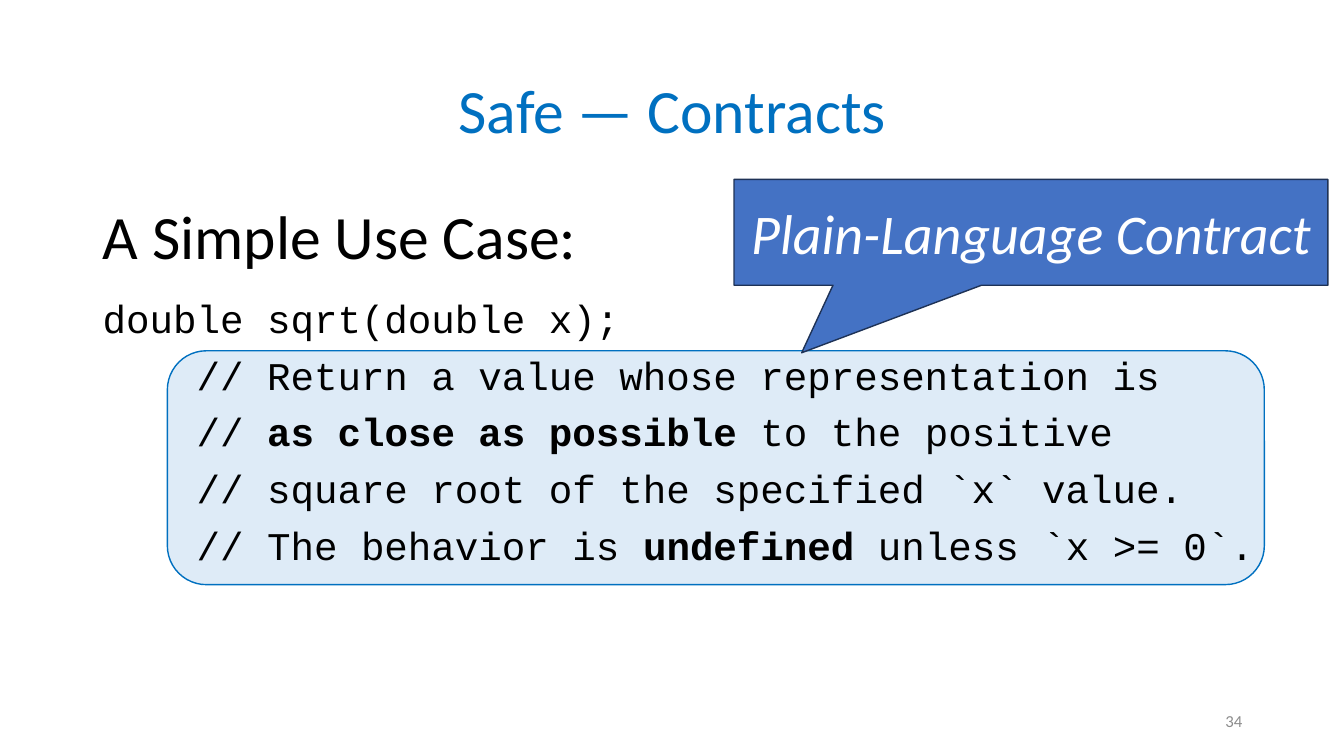
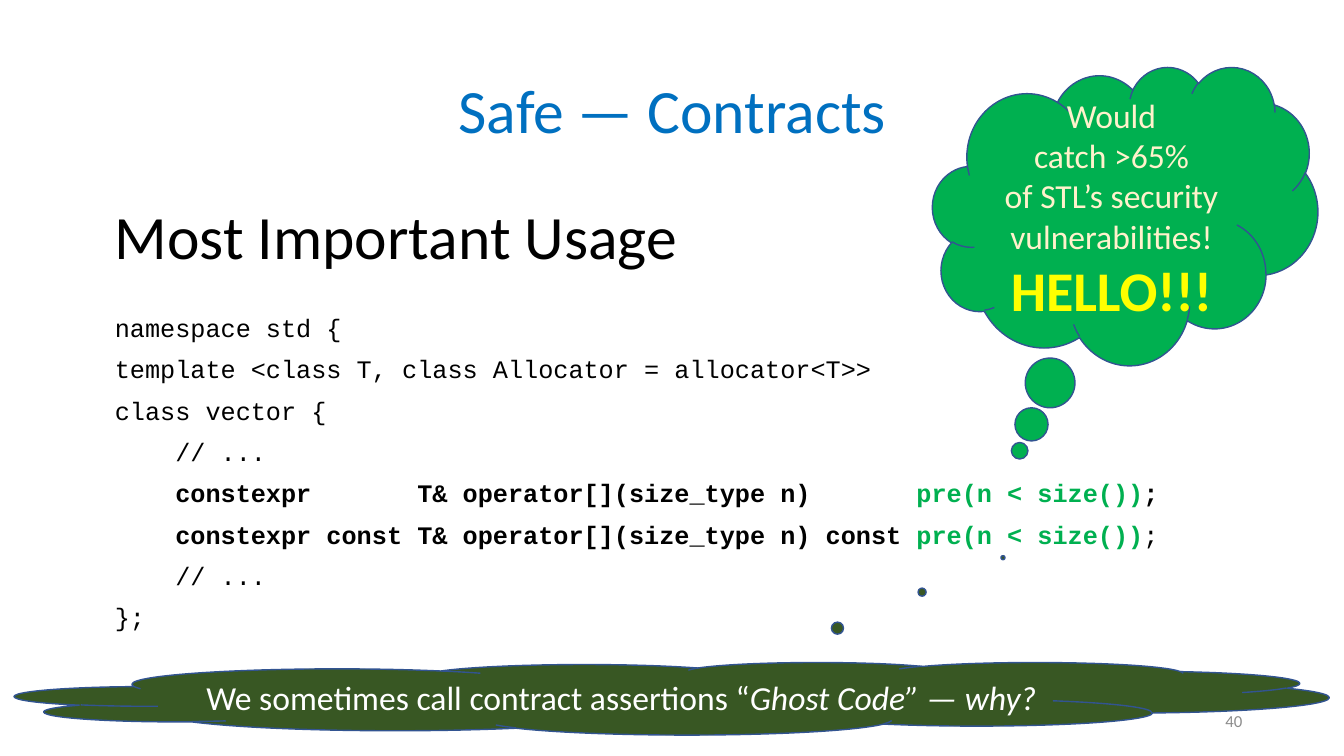
"""Build two slides on safe contracts: a plain-language contract and its main usage."""
from pptx import Presentation
from pptx.dml.color import RGBColor
from pptx.enum.shapes import MSO_SHAPE
from pptx.enum.text import MSO_ANCHOR, PP_ALIGN
from pptx.util import Inches, Pt

ROUNDED = MSO_SHAPE.ROUNDED_RECTANGLE
CALLOUT = MSO_SHAPE.RECTANGULAR_CALLOUT
CLOUD = MSO_SHAPE.CLOUD_CALLOUT
TOP, MIDDLE = MSO_ANCHOR.TOP, MSO_ANCHOR.MIDDLE
LEFT, CENTER, RIGHT = PP_ALIGN.LEFT, PP_ALIGN.CENTER, PP_ALIGN.RIGHT

BLACK = RGBColor(0x00, 0x00, 0x00)
WHITE = RGBColor(0xFF, 0xFF, 0xFF)
TITLE_BLUE = RGBColor(0x00, 0x70, 0xC0)
PALE_BLUE = RGBColor(0xDE, 0xEB, 0xF7)
CALLOUT_BLUE = RGBColor(0x44, 0x72, 0xC4)
CALLOUT_EDGE = RGBColor(0x1E, 0x32, 0x56)
CLOUD_EDGE = RGBColor(0x32, 0x54, 0x91)
GREEN = RGBColor(0x00, 0xB0, 0x50)
DARK_GREEN = RGBColor(0x38, 0x57, 0x23)
CREAM = RGBColor(0xFF, 0xF2, 0xCC)
YELLOW = RGBColor(0xFF, 0xFF, 0x00)
GRAY = RGBColor(0x8C, 0x8C, 0x8C)

TEXT_FONT = "Calibri"
CODE_FONT = "Courier New"


def style_paragraph(paragraph, size, color, align=LEFT, font=TEXT_FONT):
    """Set alignment and the font shared by a paragraph's runs."""
    paragraph.alignment = align
    paragraph.font.name = font
    paragraph.font.size = Pt(size)
    paragraph.font.color.rgb = color


def add_run(paragraph, text, bold=None, italic=None, color=None):
    """Append a run with only the formatting that differs."""
    run = paragraph.add_run()
    run.text = text
    if bold is not None:
        run.font.bold = bold
    if italic is not None:
        run.font.italic = italic
    if color is not None:
        run.font.color.rgb = color


def add_paragraphs(frame, count):
    """Return the given number of paragraphs, starting with the first one."""
    return [frame.paragraphs[0]] + [frame.add_paragraph() for _ in range(count - 1)]


def add_frame(slide, left, top, width, height, anchor=TOP):
    """Add a wrapping text box and return its text frame."""
    box = slide.shapes.add_textbox(Inches(left), Inches(top), Inches(width), Inches(height))
    box.text_frame.word_wrap = True
    box.text_frame.vertical_anchor = anchor
    return box.text_frame


def add_line_of_text(slide, text, place, size, color, align=LEFT, anchor=TOP, spacing=0.9):
    """Add a text box holding a single styled paragraph."""
    paragraph = add_frame(slide, *place, anchor).paragraphs[0]
    add_run(paragraph, text)
    style_paragraph(paragraph, size, color, align)
    paragraph.line_spacing = spacing


def add_code(slide, lines, place, size, pitch):
    """Add code lines, each a list of (text, bold, color) runs, at a fixed pitch."""
    frame = add_frame(slide, *place)
    for paragraph, runs in zip(add_paragraphs(frame, len(lines)), lines):
        style_paragraph(paragraph, size, BLACK, font=CODE_FONT)
        paragraph.line_spacing = Pt(pitch)
        for text, bold, color in runs:
            add_run(paragraph, text, bold=bold, color=color)


def add_panel(slide, kind, place, fill, edge, adjustments=()):
    """Add a filled, outlined shape and return its centred text frame."""
    left, top, width, height = map(Inches, place)
    shape = slide.shapes.add_shape(kind, left, top, width, height)
    shape.shadow.inherit = False
    shape.fill.solid()
    shape.fill.fore_color.rgb = fill
    shape.line.color.rgb = edge
    shape.line.width = Pt(1)
    for index, value in enumerate(adjustments):
        shape.adjustments[index] = value
    shape.text_frame.word_wrap = True
    shape.text_frame.vertical_anchor = MIDDLE
    return shape.text_frame


def plain(text):
    """Return a code line made of one regular run."""
    return [(text, None, None)]


def add_titled_slide(presentation, heading, heading_left):
    """Add a blank slide with the shared title and a heading."""
    slide = presentation.slides.add_slide(presentation.slide_layouts[6])
    add_line_of_text(slide, "Safe — Contracts", (0.92, 0.4, 11.5, 1.45), 44,
                     TITLE_BLUE, CENTER, MIDDLE)
    add_line_of_text(slide, heading, (heading_left, 2, 8, 0.8), 44, BLACK)
    return slide


def add_page_number(slide, number):
    """Add the page number at the lower right."""
    add_line_of_text(slide, str(number), (9.42, 6.95, 3, 0.4), 12, GRAY, RIGHT, MIDDLE, 1.0)


def build_use_case(presentation):
    """Build the slide with the square root contract."""
    slide = add_titled_slide(presentation, "A Simple Use Case:", 0.92)
    add_panel(slide, ROUNDED, (1.66, 3.48, 10.88, 2.32), PALE_BLUE, TITLE_BLUE)
    lines = [
        plain("double sqrt(double x);"),
        plain("    // Return a value whose representation is"),
        [("    // ", None, None), ("as close as possible", True, None),
         (" to the positive", None, None)],
        plain("    // square root of the specified `x` value."),
        [("    // The behavior is ", None, None), ("undefined", True, None),
         (" unless `x >= 0`.", None, None)],
    ]
    add_code(slide, lines, (0.92, 2.78, 11.64, 3), 28, 40.4)
    frame = add_panel(slide, CALLOUT, (7.28, 1.78, 5.89, 1.05), CALLOUT_BLUE,
                      CALLOUT_EDGE, (-0.386, 1.138))
    paragraph = frame.paragraphs[0]
    add_run(paragraph, "Plain-Language Contract")
    style_paragraph(paragraph, 40, WHITE, CENTER)
    paragraph.font.italic = True
    add_page_number(slide, 34)


def build_usage(presentation):
    """Build the slide with the vector preconditions."""
    slide = add_titled_slide(presentation, "Most Important Usage", 1.04)
    precondition = ("pre(n < size())", True, GREEN)
    lines = [
        plain("namespace std {"),
        plain("template <class T, class Allocator = allocator<T>>"),
        plain("class vector {"),
        plain("    // ..."),
        [("    constexpr       T& operator[](size_type n)       ", True, None),
         precondition, (";", True, None)],
        [("    constexpr const T& operator[](size_type n) const ", True, None),
         precondition, (";", None, None)],
        plain("    // ..."),
        plain("};"),
    ]
    add_code(slide, lines, (1.04, 2.94, 11.5, 3.5), 18, 29.5)

    frame = add_panel(slide, CLOUD, (9.25, 0.66, 3.82, 2.96), GREEN, CLOUD_EDGE,
                      (-0.274, 0.788))
    thoughts = ["Would", "catch >65%", "of STL’s security", "vulnerabilities!", "HELLO!!!"]
    paragraphs = add_paragraphs(frame, len(thoughts))
    for paragraph, text in zip(paragraphs, thoughts):
        add_run(paragraph, text)
        style_paragraph(paragraph, 24, CREAM, CENTER)
    style_paragraph(paragraphs[-1], 40, YELLOW, CENTER)
    paragraphs[-1].font.bold = True

    frame = add_panel(slide, CLOUD, (0.15, 6.57, 13.03, 0.72), DARK_GREEN, CLOUD_EDGE,
                      (0.252, -1.941))
    frame.margin_left = Inches(0)
    frame.margin_right = Inches(0.08)
    paragraph = frame.paragraphs[0]
    style_paragraph(paragraph, 24, WHITE, CENTER)
    add_run(paragraph, "We sometimes call contract assertions “")
    add_run(paragraph, "Ghost Code” — why?", italic=True)
    add_page_number(slide, 40)


def main():
    """Create and save the presentation."""
    presentation = Presentation()
    presentation.slide_width = Inches(13.33)
    presentation.slide_height = Inches(7.5)
    build_use_case(presentation)
    build_usage(presentation)
    presentation.save("out.pptx")


if __name__ == "__main__":
    main()
